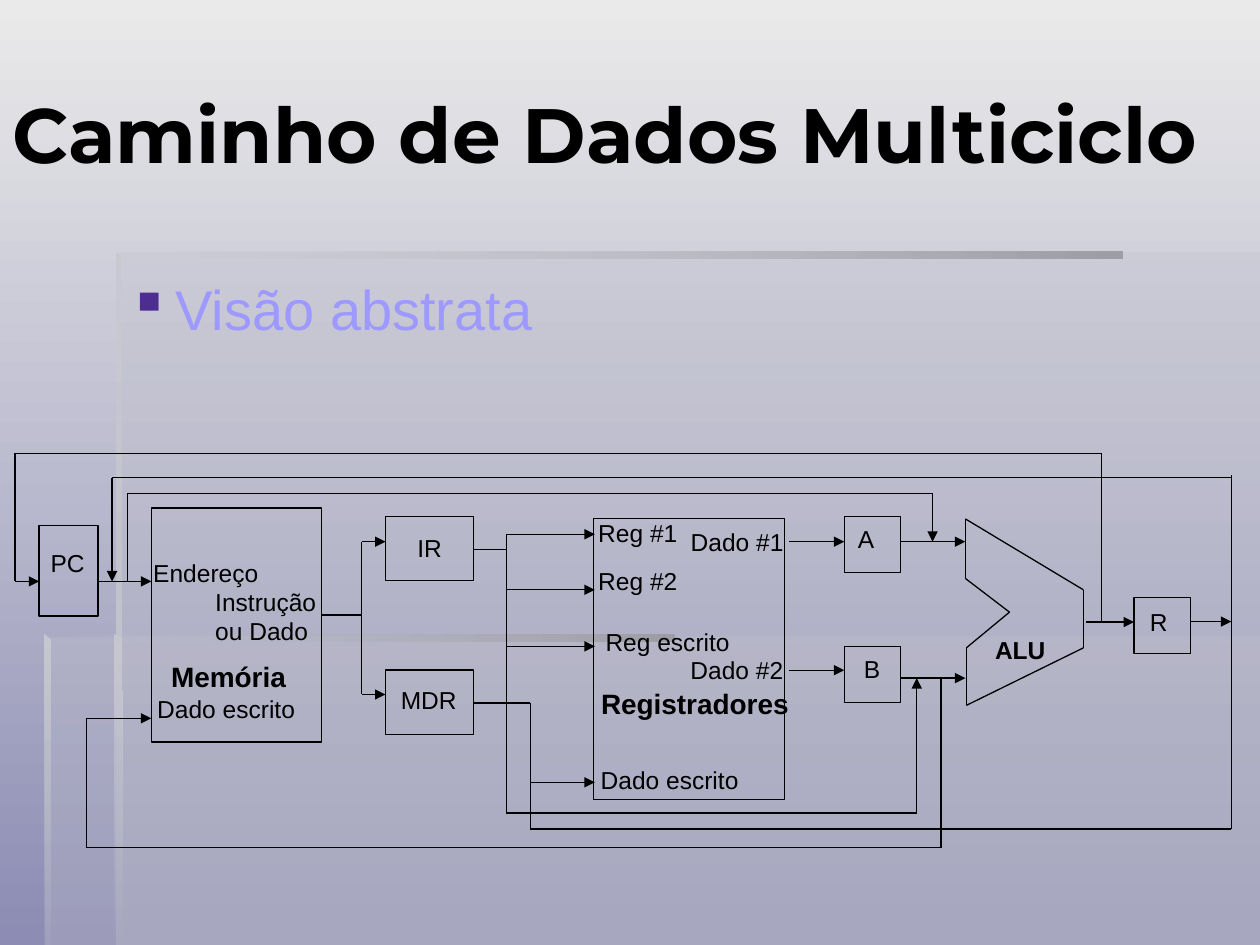
"""Build the multicycle datapath slide."""
from dataclasses import dataclass
from itertools import pairwise

from lxml import etree
from pptx import Presentation
from pptx.dml.color import RGBColor
from pptx.enum.shapes import MSO_CONNECTOR, MSO_SHAPE
from pptx.enum.text import MSO_ANCHOR, PP_ALIGN
from pptx.oxml.ns import qn
from pptx.util import Cm, Pt

STRAIGHT, RECT = MSO_CONNECTOR.STRAIGHT, MSO_SHAPE.RECTANGLE
LEFT, CENTER, JUSTIFY = PP_ALIGN.LEFT, PP_ALIGN.CENTER, PP_ALIGN.JUSTIFY
MIDDLE = MSO_ANCHOR.MIDDLE
BLACK = "000000"
LINE_WIDTH = Pt(0.75)


@dataclass
class Panel:
    """A background outline with one colour or a two-stop gradient."""
    points: list
    colors: list
    angle: int = 0


@dataclass
class Box:
    """An unfilled component box."""
    x: float
    y: float
    w: float
    h: float


@dataclass
class Label:
    """A text with its frame and format."""
    text: str
    x: float
    y: float
    w: float
    h: float = 0.86
    align: PP_ALIGN = LEFT
    size: int = 14
    bold: bool = False
    font: str = "Arial"
    color: str = BLACK


@dataclass
class Wire:
    """A path of straight segments, with an arrowhead at its end if wanted."""
    points: list
    arrow: bool = True


def corners(x1: float, y1: float, x2: float, y2: float) -> list:
    """Return the four corners of a rectangle."""
    return [(x1, y1), (x1, y2), (x2, y2), (x2, y1)]


PALE, SHADE, EDGE = "C1C2CB", "9D9EA5", "C7C8D0"
VEIL, FADE = [(PALE, 30)], [(SHADE, 100), (PALE, 0)]
PANELS = [
    Panel(corners(2.34, 12.83, 25.4, 19.05), VEIL),
    Panel([(2.39, 12.85), (0.91, 12.85), (0.91, 19.05), (25.4, 19.05),
           (25.4, 5.08), (2.39, 5.08)], VEIL),
    Panel(corners(2.34, 5.08, 22.63, 5.21), FADE, 180),
    Panel([(2.34, 5.08), (2.34, 12.95), (2.46, 12.95), (2.44, 5.18)],
          [(EDGE, 100), (PALE, 100)], 270),
    Panel([(2.31, 19.05), (2.46, 19.05), (2.44, 12.9), (2.31, 12.8)],
          [(EDGE, 100), (PALE, 0)], 270),
    Panel(corners(0.89, 12.8, 13.59, 12.93), FADE, 180),
    Panel([(0.89, 12.8), (0.89, 19.05), (1.02, 19.05), (1.02, 12.93)],
          [(EDGE, 100), (PALE, 10)], 270),
]
TITLE = Label("Caminho de Dados Multiciclo", 0, 0.69, 25.4, 3.99,
              size=44, bold=True, font="Montserrat")
TOPIC = Label("Visão abstrata", 2.34, 5.41, 22.25, 2.1, size=32, color="9E99FF")
BOXES = [
    Box(3.05, 10.24, 3.43, 4.72), Box(11.96, 10.46, 3.86, 5.66),
    Box(0.79, 10.59, 1.19, 1.83), Box(7.77, 10.41, 1.78, 1.3),
    Box(7.77, 13.51, 1.78, 1.3), Box(17.02, 10.41, 1.14, 1.14),
    Box(17.02, 13.03, 1.14, 1.14), Box(22.86, 12.04, 1.14, 1.14),
]
LABELS = [
    Label("Endereço", 2.84, 11.13, 3.86),
    Label("Memória", 3.2, 13.18, 3.3, 0.94, size=16, bold=True),
    Label("Instrução\nou Dado", 4.09, 11.71, 2.79, 1.45, JUSTIFY),
    Label("PC", 0.64, 10.92, 1.45, align=CENTER),
    Label("Dado escrito", 2.92, 13.87, 3.86),
    Label("Dado escrito", 11.86, 15.29, 4.04),
    Label("Registradores", 11.71, 13.72, 4.6, 0.94, CENTER, 16, True),
    Label("Dado #2", 13.67, 13.08, 2.82),
    Label("Dado #1", 13.21, 10.49, 3.3, align=CENTER),
    Label("Reg #1", 11.81, 10.31, 2.69),
    Label("Reg #2", 11.81, 11.28, 2.39),
    Label("Reg escrito", 11.81, 12.52, 3.3, align=CENTER),
    Label("ALU", 19.81, 12.67, 2.29, bold=True),
    Label("IR", 7.77, 10.62, 1.78, 1.3, CENTER),
    Label("MDR", 7.59, 13.69, 2.11, 1.63, CENTER),
    Label("A", 16.89, 10.44, 1.14, 1.3, CENTER),
    Label("B", 16.69, 13.06, 1.78, 1.45, CENTER),
    Label("R", 22.71, 12.12, 1.3, 1.3, CENTER),
]
ALU = [(19.46, 10.46), (19.46, 11.66), (20.35, 12.34), (19.48, 13.06),
       (19.48, 14.22), (21.84, 13.06), (21.84, 11.89), (19.46, 10.46)]
WIRES = [
    Wire(ALU, False),
    Wire([(1.98, 11.72), (3.05, 11.72)]),
    Wire([(6.48, 12.4), (7.29, 12.4)], False),
    Wire([(7.29, 12.4), (7.29, 10.92), (7.77, 10.92)]),
    Wire([(7.29, 12.4), (7.29, 14), (7.77, 14)]),
    Wire([(9.55, 11.08), (10.21, 11.08)], False),
    *[Wire([(10.21, y), (11.99, y)]) for y in (10.77, 11.89, 13.03)],
    Wire([(10.21, 10.77), (10.21, 16.39), (18.48, 16.39), (18.48, 13.67)]),
    Wire([(9.55, 14.17), (10.69, 14.17), (10.69, 16.71), (24.82, 16.71),
          (24.82, 9.58)], False),
    Wire([(10.69, 15.77), (11.99, 15.77)]),
    Wire([(15.9, 10.92), (17.02, 10.92)]),
    Wire([(15.9, 13.51), (17.02, 13.51)]),
    Wire([(18.16, 10.92), (19.46, 10.92)]),
    Wire([(18.16, 13.67), (19.46, 13.67)]),
    Wire([(18.97, 13.67), (18.97, 17.09), (1.75, 17.09), (1.75, 14.48),
          (3.05, 14.48)]),
    Wire([(2.57, 11.72), (2.57, 9.95), (18.8, 9.95), (18.8, 10.92)]),
    Wire([(24.82, 9.63), (2.26, 9.63), (2.26, 11.72)]),
    Wire([(22.21, 12.54), (22.21, 9.14), (0.3, 9.14), (0.3, 11.72),
          (0.79, 11.72)]),
    Wire([(21.89, 12.54), (22.86, 12.54)]),
    Wire([(24, 12.53), (24.82, 12.53)]),
]


def rgb(value: str) -> RGBColor:
    """Turn a hex string into a colour."""
    return RGBColor.from_string(value)


def set_gradient(fill, colors: list, angle: int) -> None:
    """Give a fill a two-stop linear gradient."""
    fill.gradient()
    fill.gradient_angle = angle
    for stop, color in zip(fill.gradient_stops, colors):
        stop.color.rgb = rgb(color)


def add_panel(s, panel: Panel) -> None:
    """Draw a translucent background panel."""
    start, *rest = [(Cm(x), Cm(y)) for x, y in panel.points]
    builder = s.shapes.build_freeform(*start)
    builder.add_line_segments(rest, close=True)
    sp = builder.convert_to_shape()
    sp.shadow.inherit = False
    sp.line.fill.background()
    if len(panel.colors) == 1:
        sp.fill.solid()
        sp.fill.fore_color.rgb = rgb(panel.colors[0][0])
    else:
        set_gradient(sp.fill, [color for color, _ in panel.colors], panel.angle)
    for clr, (_, opacity) in zip(sp._element.spPr.iter(qn("a:srgbClr")), panel.colors):
        etree.SubElement(clr, qn("a:alpha"), val=str(opacity * 1000))


def add_box(s, box: Box) -> None:
    """Draw an outlined component."""
    sp = s.shapes.add_shape(RECT, Cm(box.x), Cm(box.y), Cm(box.w), Cm(box.h))
    sp.shadow.inherit = False
    sp.fill.background()
    sp.line.color.rgb = rgb(BLACK)
    sp.line.width = LINE_WIDTH


def add_label(s, label: Label):
    """Add a text box and return its text frame."""
    sp = s.shapes.add_textbox(Cm(label.x), Cm(label.y), Cm(label.w), Cm(label.h))
    tf = sp.text_frame
    tf.word_wrap = True
    tf.text = label.text
    for p in tf.paragraphs:
        p.alignment = label.align
        p.font.name, p.font.size, p.font.bold = label.font, Pt(label.size), label.bold
        p.font.color.rgb = rgb(label.color)
    return tf


def add_bullet(p, char: str, color: str) -> None:
    """Give a paragraph a coloured bullet and a hanging indent."""
    pPr = p._p.get_or_add_pPr()
    pPr.set("marL", str(Cm(0.95)))
    pPr.set("indent", str(Cm(-0.95)))
    bullet = [etree.Element(qn("a:buClr")), etree.Element(qn("a:buChar"), char=char)]
    etree.SubElement(bullet[0], qn("a:srgbClr"), val=color)
    for i, element in enumerate(bullet):
        pPr.insert(i, element)


def add_wire(s, wire: Wire) -> None:
    """Draw the segments of a wire."""
    for start, end in pairwise(wire.points):
        line = s.shapes.add_connector(STRAIGHT, *map(Cm, start + end))
        line.line.color.rgb = rgb(BLACK)
        line.line.width = LINE_WIDTH
        etree.SubElement(line._element.spPr, qn("a:effectLst"))
    if wire.arrow:
        etree.SubElement(line.line._get_or_add_ln(), qn("a:tailEnd"), type="triangle")


def main() -> None:
    """Build and save the slide."""
    prs = Presentation()
    prs.slide_width, prs.slide_height = Cm(25.4), Cm(19.05)
    s = prs.slides.add_slide(prs.slide_layouts[6])
    set_gradient(s.background.fill, ["EAEAEA", "8C8CB4"], 270)
    for panel in PANELS:
        add_panel(s, panel)
    add_label(s, TITLE).vertical_anchor = MIDDLE
    add_bullet(add_label(s, TOPIC).paragraphs[0], "▪", "4E2D91")
    for box in BOXES:
        add_box(s, box)
    for label in LABELS:
        add_label(s, label)
    for wire in WIRES:
        add_wire(s, wire)
    prs.save("out.pptx")


if __name__ == "__main__":
    main()
